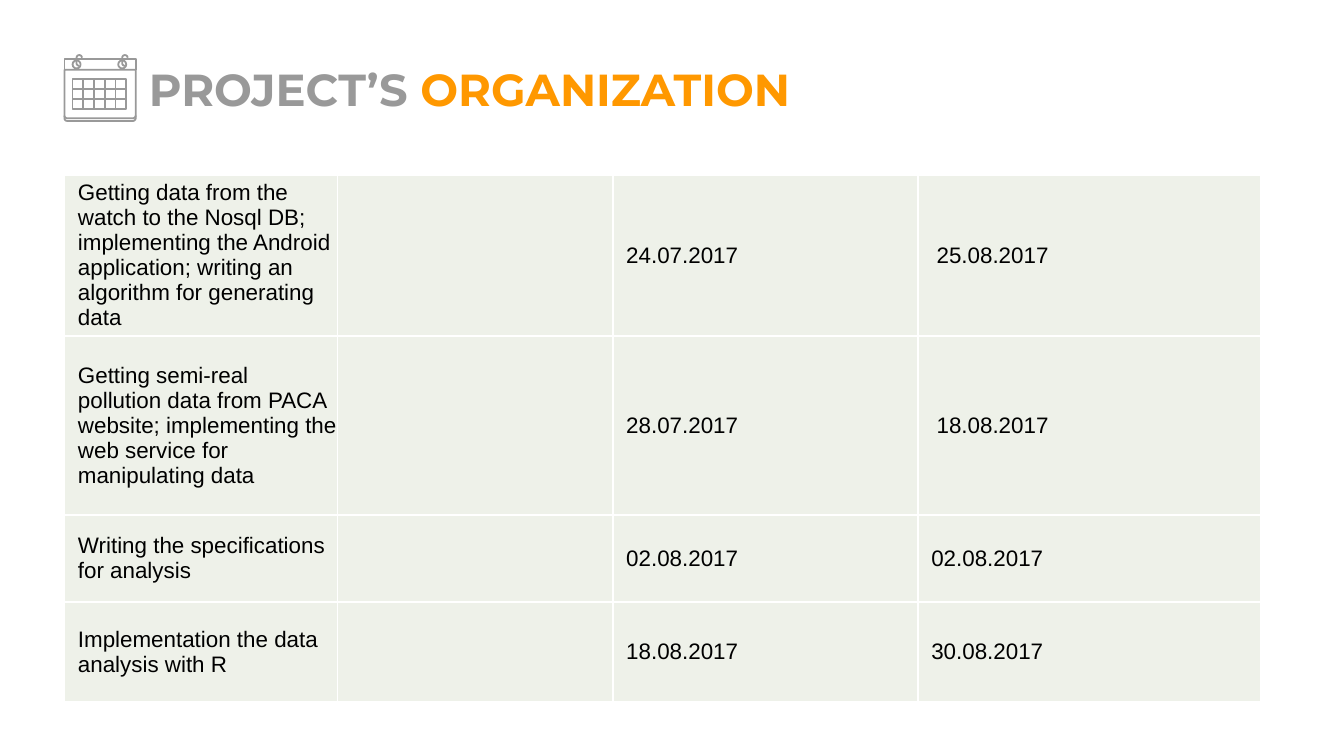
import math

import lxml.etree
import pptx
import pptx.dml.color
import pptx.enum.shapes
import pptx.enum.text
import pptx.oxml.ns
import pptx.util

Inches = pptx.util.Inches
Pt = pptx.util.Pt
RGBColor = pptx.dml.color.RGBColor
qn = pptx.oxml.ns.qn

GREY = RGBColor(0x99, 0x99, 0x99)
ORANGE = RGBColor(0xFF, 0x98, 0x00)
BLACK = RGBColor(0x00, 0x00, 0x00)
WHITE = RGBColor(0xFF, 0xFF, 0xFF)
CELL_FILL = RGBColor(0xEE, 0xF1, 0xE9)

SLIDE_WIDTH = 10
COLUMN_WIDTHS = [2.03, 2.05, 2.27, 2.55]
ROW_HEIGHTS = [1.11, 1.33, 0.65, 0.74]
TASKS = [
    ("Getting data from the watch to the Nosql DB; implementing the Android "
     "application; writing an algorithm for generating data",
     "", "24.07.2017", "25.08.2017"),
    ("Getting semi-real pollution data from PACA website; implementing the "
     "web service for manipulating data",
     "", "28.07.2017", "18.08.2017"),
    ("Writing the specifications for analysis", "", "02.08.2017", "02.08.2017"),
    ("Implementation the data analysis with R", "", "18.08.2017", "30.08.2017"),
]

ICON_LEFT, ICON_RIGHT = 0.48, 1.01
GRID_LEFT, GRID_TOP, GRID_WIDTH, GRID_HEIGHT = 0.54, 0.59, 0.4, 0.22
GRID_COLUMNS, GRID_ROWS = 5, 3


def add_run(p, text, font, size, color, bold=False):
    r = p.add_run()
    r.text = text
    r.font.name = font
    r.font.size = Pt(size)
    r.font.bold = bold
    r.font.color.rgb = color


def add_title(slide):
    box = slide.shapes.add_textbox(Inches(1.01), Inches(0.51), Inches(6.58), Inches(0.45))
    tf = box.text_frame
    tf.word_wrap = True
    tf.vertical_anchor = pptx.enum.text.MSO_ANCHOR.BOTTOM
    tf.margin_left = tf.margin_right = tf.margin_top = tf.margin_bottom = Inches(0.1)
    p = tf.paragraphs[0]
    add_run(p, "PROJECT’S ", "Montserrat", 24, GREY, bold=True)
    add_run(p, "ORGANIZATION", "Montserrat", 24, ORANGE, bold=True)


def style_outline(sp):
    sp.shadow.inherit = False
    sp.fill.background()
    sp.line.color.rgb = GREY
    sp.line.width = Pt(0.96)


def add_outline(shapes, points, close=False):
    scaled = [(Inches(x), Inches(y)) for x, y in points]
    builder = shapes.build_freeform(*scaled[0])
    builder.add_line_segments(scaled[1:], close=close)
    style_outline(builder.convert_to_shape())


def add_preset(shapes, kind, left, top, width, height):
    style_outline(shapes.add_shape(
        kind, Inches(left), Inches(top), Inches(width), Inches(height)))


def add_line(shapes, x1, y1, x2, y2):
    line = shapes.add_connector(
        pptx.enum.shapes.MSO_CONNECTOR.STRAIGHT,
        Inches(x1), Inches(y1), Inches(x2), Inches(y2))
    line.line.color.rgb = GREY
    line.line.width = Pt(0.96)
    lxml.etree.SubElement(line._element.spPr, qn("a:effectLst"))


def arc(cx, cy, radius, start, end, steps=8):
    angles = [math.radians(start + (end - start) * i / steps) for i in range(steps + 1)]
    return [(cx + radius * math.cos(a), cy + radius * math.sin(a)) for a in angles]


def tray(top, bottom, radius=0.02):
    cy = bottom - radius
    return ([(ICON_LEFT, top)]
            + arc(ICON_LEFT + radius, cy, radius, 180, 90)
            + arc(ICON_RIGHT - radius, cy, radius, 90, 0)
            + [(ICON_RIGHT, top)])


def add_calendar(slide):
    shapes = slide.shapes.add_group_shape().shapes
    kinds = pptx.enum.shapes.MSO_SHAPE
    add_outline(shapes, [(ICON_RIGHT, 0.52), (ICON_RIGHT, 0.44),
                         (ICON_LEFT, 0.44), (ICON_LEFT, 0.52)])
    add_outline(shapes, tray(0.86, 0.9))
    add_outline(shapes, tray(0.52, 0.88), close=True)
    for x in (0.57, 0.91):
        add_preset(shapes, kinds.OVAL, x - 0.03, 0.45, 0.06, 0.06)
        hook_x = x + 0.02
        add_outline(shapes, arc(hook_x, 0.47, 0.02, 90, 180)
                    + arc(hook_x, 0.43, 0.02, 180, 360))
    add_preset(shapes, kinds.RECTANGLE, GRID_LEFT, GRID_TOP, GRID_WIDTH, GRID_HEIGHT)
    for i in range(1, GRID_ROWS):
        y = GRID_TOP + GRID_HEIGHT * i / GRID_ROWS
        add_line(shapes, GRID_LEFT, y, GRID_LEFT + GRID_WIDTH, y)
    for i in range(1, GRID_COLUMNS):
        x = GRID_LEFT + GRID_WIDTH * i / GRID_COLUMNS
        add_line(shapes, x, GRID_TOP, x, GRID_TOP + GRID_HEIGHT)


def set_borders(cell, color, width):
    tcPr = cell._tc.get_or_add_tcPr()
    for i, side in enumerate(("lnL", "lnR", "lnT", "lnB")):
        ln = lxml.etree.Element(qn("a:" + side), w=str(Pt(width)))
        fill = lxml.etree.SubElement(ln, qn("a:solidFill"))
        lxml.etree.SubElement(fill, qn("a:srgbClr"), val=str(color))
        tcPr.insert(i, ln)


def fill_cell(cell, text, left_margin):
    cell.fill.solid()
    cell.fill.fore_color.rgb = CELL_FILL
    set_borders(cell, WHITE, 1)
    cell.vertical_anchor = pptx.enum.text.MSO_ANCHOR.MIDDLE
    cell.margin_left = Inches(left_margin)
    cell.margin_right = cell.margin_top = cell.margin_bottom = 0
    if text:
        p = cell.text_frame.paragraphs[0]
        pPr = p._p.get_or_add_pPr()
        pPr.set("marL", str(Inches(0.1)))
        pPr.set("indent", "0")
        add_run(p, text, "Arial", 12, BLACK)


def add_schedule(slide):
    table = slide.shapes.add_table(
        len(TASKS), len(COLUMN_WIDTHS), Inches(0.48), Inches(1.3),
        Inches(sum(COLUMN_WIDTHS)), Inches(sum(ROW_HEIGHTS))).table
    table.first_row = False
    table.horz_banding = False
    for column, width in zip(table.columns, COLUMN_WIDTHS):
        column.width = Inches(width)
    for row, height in zip(table.rows, ROW_HEIGHTS):
        row.height = Inches(height)
    for i, task in enumerate(TASKS):
        for j, text in enumerate(task):
            fill_cell(table.cell(i, j), text, 0.04 if j == 3 and i < 2 else 0)


def main():
    prs = pptx.Presentation()
    prs.slide_width = Inches(SLIDE_WIDTH)
    prs.slide_height = Inches(SLIDE_WIDTH * 9 / 16)
    slide = prs.slides.add_slide(prs.slide_layouts[6])
    add_title(slide)
    add_calendar(slide)
    add_schedule(slide)
    prs.save("out.pptx")


if __name__ == "__main__":
    main()
